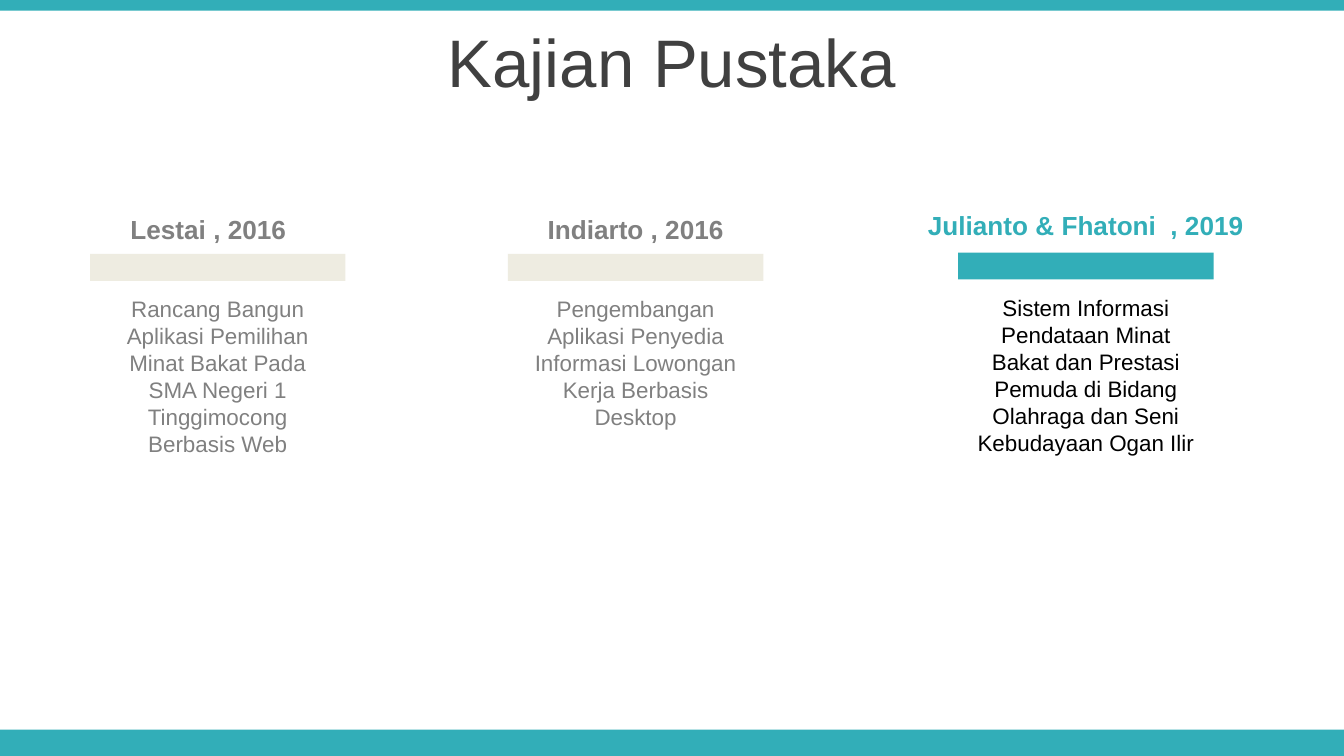
from dataclasses import dataclass

import pptx
import pptx.dml.color
import pptx.enum.shapes
import pptx.enum.text
import pptx.util
from pptx.util import Inches

TEAL, GREY, BEIGE = "32AEB8", "808080", "EEECE1"
BAR_W, BAR_H = 1.9, 0.2


@dataclass
class Study:
    heading: str
    summary: str
    bar_left: float
    bar_top: float
    heading_left: float
    heading_top: float
    heading_width: float
    summary_height: float
    bar_color: str = BEIGE
    heading_color: str = GREY
    summary_color: str = GREY


STUDIES = [
    Study("Lestai , 2016",
          "Rancang Bangun Aplikasi Pemilihan Minat Bakat Pada SMA Negeri 1 "
          "Tinggimocong Berbasis Web",
          0.67, 1.89, 0.49, 1.54, 2.12, 1.31),
    Study("Indiarto , 2016",
          "Pengembangan Aplikasi Penyedia Informasi Lowongan Kerja Berbasis Desktop",
          3.78, 1.89, 3.67, 1.54, 2.12, 1.11),
    Study("Julianto & Fhatoni  , 2019",
          "Sistem Informasi Pendataan Minat Bakat dan Prestasi Pemuda di Bidang "
          "Olahraga dan Seni Kebudayaan Ogan Ilir",
          7.13, 1.88, 6.65, 1.51, 2.86, 1.31, TEAL, TEAL, "000000"),
]


def rgb(color: str) -> pptx.dml.color.RGBColor:
    return pptx.dml.color.RGBColor.from_string(color)


def add_bar(s, left: float, top: float, width: float, height: float, color: str) -> None:
    sp = s.shapes.add_shape(pptx.enum.shapes.MSO_SHAPE.RECTANGLE,
                            Inches(left), Inches(top), Inches(width), Inches(height))
    sp.shadow.inherit = False
    sp.fill.solid()
    sp.fill.fore_color.rgb = rgb(color)
    sp.line.fill.background()


def add_text(s, text: str, left: float, top: float, width: float, height: float,
             color: str, size: int, bold: bool = False,
             anchor=pptx.enum.text.MSO_ANCHOR.TOP) -> None:
    sp = s.shapes.add_textbox(Inches(left), Inches(top), Inches(width), Inches(height))
    tf = sp.text_frame
    tf.word_wrap = True
    tf.vertical_anchor = anchor
    p = tf.paragraphs[0]
    p.alignment = pptx.enum.text.PP_ALIGN.CENTER
    r = p.add_run()
    r.text = text
    font_format = {"name": "Arial", "size": pptx.util.Pt(size), "bold": bold}
    for name, value in font_format.items():
        setattr(r.font, name, value)
    r.font.color.rgb = rgb(color)


def add_study(s, study: Study) -> None:
    add_text(s, study.heading, study.heading_left, study.heading_top,
             study.heading_width, 0.34, study.heading_color, 14, bold=True)
    add_text(s, study.summary, study.bar_left, study.bar_top + 0.26,
             BAR_W, study.summary_height, study.summary_color, 12)
    add_bar(s, study.bar_left, study.bar_top, BAR_W, BAR_H, study.bar_color)


def main() -> None:
    prs = pptx.Presentation()
    prs.slide_width = Inches(10)
    prs.slide_height = Inches(10) * 9 // 16
    s = prs.slides.add_slide(prs.slide_layouts[6])
    add_bar(s, 0, 5.43, 10, 0.2, TEAL)
    add_bar(s, 0, 0, 10, 0.08, TEAL)
    add_text(s, "Kajian Pustaka", 0, 0.14, 10, 0.63, "404040", 36,
             anchor=pptx.enum.text.MSO_ANCHOR.MIDDLE)
    for study in STUDIES:
        add_study(s, study)
    prs.save("out.pptx")


if __name__ == "__main__":
    main()
